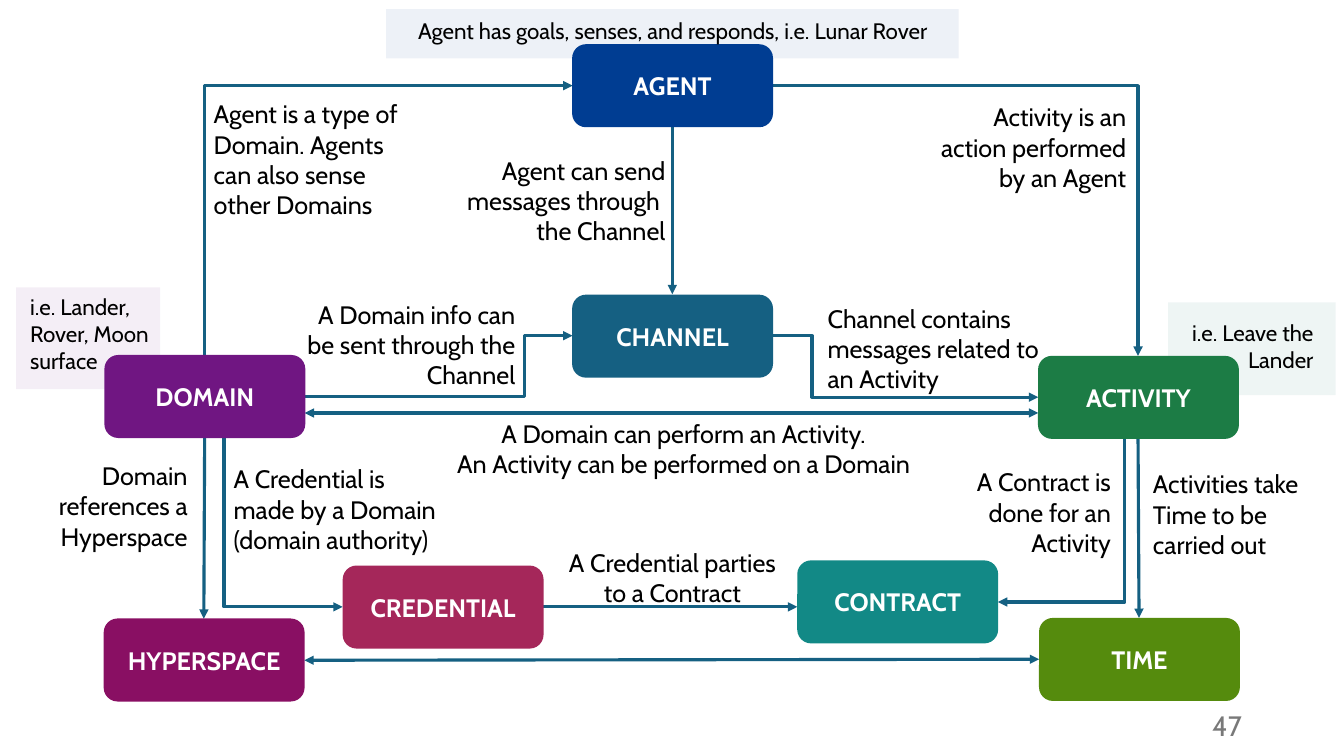
from lxml.etree import SubElement
from pptx import Presentation
from pptx.dml.color import RGBColor as Color
from pptx.enum.shapes import MSO_CONNECTOR as Connector, MSO_SHAPE as Shape
from pptx.enum.text import MSO_ANCHOR as Anchor, PP_ALIGN as Align
from pptx.oxml.ns import qn
from pptx.util import Pt

COLORS = {
    "agent": "003D92", "channel": "156082", "domain": "701682",
    "activity": "1C7C45", "time": "558B0D", "contract": "128986",
    "hyperspace": "890F63", "credential": "A5275A", "leave": "1B7D6A",
    "link": "156082", "text": "000000", "white": "FFFFFF", "number": "797979",
}
FONT = "Cabin"
LEFT, CENTER, RIGHT = Align.LEFT, Align.CENTER, Align.RIGHT
NODE_WIDTH, NODE_HEIGHT = 143.5, 59.3

deck = Presentation()
deck.slide_width, deck.slide_height = Pt(960), Pt(540)
page = deck.slides.add_slide(deck.slide_layouts[6])


def write(box, lines, size, color, align, bold=False):
    frame = box.text_frame
    frame.word_wrap = True
    frame.text = "\n".join(lines)
    for para in frame.paragraphs:
        para.alignment = align
        para.font.name = FONT
        para.font.size = Pt(size)
        para.font.bold = bold
        para.font.color.rgb = Color.from_string(COLORS[color])


def add_link(points, both_ends):
    (x1, y1), (x2, y2) = points[0], points[-1]
    corners = len(points) - 2
    upright = corners == 1 and points[1][0] == x1
    if upright:
        middle_x, middle_y = (x1 + x2) / 2, (y1 + y2) / 2
        half_x, half_y = (x2 - x1) / 2, (y2 - y1) / 2
        x1, x2 = middle_x - half_y, middle_x + half_y
        y1, y2 = middle_y + half_x, middle_y - half_x
    kind = Connector.ELBOW if corners else Connector.STRAIGHT
    link = page.shapes.add_connector(kind, Pt(x1), Pt(y1), Pt(x2), Pt(y2))
    link.line.color.rgb = Color.from_string(COLORS["link"])
    link.line.width = Pt(2.25)
    properties = link._element.spPr
    geometry = properties.find(qn("a:prstGeom"))
    if corners == 1:
        geometry.set("prst", "bentConnector2")
    if upright:
        properties.find(qn("a:xfrm")).set("rot", "5400000")
    if corners == 2:
        bend = round((points[1][0] - x1) / (x2 - x1) * 100000)
        guides = geometry.find(qn("a:avLst"))
        SubElement(guides, qn("a:gd"), name="adj1", fmla=f"val {bend}")
    outline = properties.find(qn("a:ln"))
    for end in ["headEnd", "tailEnd"] if both_ends else ["tailEnd"]:
        SubElement(outline, qn(f"a:{end}"), type="triangle")
    SubElement(properties, qn("a:effectLst"))


tints = [
    ("domain", 11.5, 205.2, 103, 72.7),
    ("leave", 834.5, 216, 119.5, 66.2),
    ("agent", 275.8, 6.5, 409, 35.3),
]
for color, left, top, width, height in tints:
    tint = page.shapes.add_shape(Shape.RECTANGLE, Pt(left), Pt(top), Pt(width), Pt(height))
    tint.shadow.inherit = False
    tint.fill.solid()
    tint.fill.fore_color.rgb = Color.from_string(COLORS[color])
    tint.line.fill.background()
    fill_color = tint._element.spPr.find(qn("a:solidFill"))[0]
    SubElement(fill_color, qn("a:alpha"), val="7000")

links = [
    ([(803.5, 306.7), (803.5, 430), (712.8, 430)], False),
    ([(160, 310.3), (160, 433.5), (244.8, 433.5)], False),
    ([(146.2, 253.4), (146.2, 61.2), (409, 61.2)], False),
    ([(551.5, 61.2), (812.9, 61.2), (812.9, 254.2)], False),
    ([(551.5, 239.8), (580, 239.8), (580, 283.7), (741.6, 283.7)], False),
    ([(217.6, 283), (375, 283), (375, 239.8), (409, 239.8)], False),
    ([(217.4, 471.6), (742.3, 470.9)], True),
    ([(146.2, 313), (145.6, 442)], False),
    ([(388, 433.5), (569.5, 433.5)], False),
    ([(217.6, 295), (741.6, 295)], True),
    ([(812.9, 313), (813.6, 441.4)], False),
    ([(480.2, 90.7), (480.2, 210.2)], False),
]
for points, both_ends in links:
    add_link(points, both_ends)

nodes = [
    ("agent", 408.7, 31.6), ("channel", 408.7, 210.5),
    ("domain", 74.6, 253.6), ("activity", 741.5, 254.2),
    ("credential", 244.8, 404), ("contract", 569.5, 400.3),
    ("hyperspace", 74.1, 441.8), ("time", 742.2, 441.4),
]
for name, left, top in nodes:
    node = page.shapes.add_shape(
        Shape.ROUNDED_RECTANGLE, Pt(left), Pt(top), Pt(NODE_WIDTH), Pt(NODE_HEIGHT))
    node.shadow.inherit = False
    node.fill.solid()
    node.fill.fore_color.rgb = Color.from_string(COLORS[name])
    node.line.fill.background()
    node.text_frame.vertical_anchor = Anchor.MIDDLE
    write(node, [name.upper()], 18, "white", CENTER, True)

notes = [
    (145.6, 67, 149.8, 94.5, 18, LEFT,
     ["Agent is a type of Domain. Agents can also sense other Domains"]),
    (255.6, 8.6, 450, 26.6, 16, CENTER,
     ["Agent has goals, senses, and responds, i.e. Lunar Rover"]),
    (659.5, 69.1, 152, 72.7, 18, RIGHT, ["Activity is an action performed by an Agent"]),
    (825.8, 224.6, 119.5, 46, 16, RIGHT, ["i.e. Leave the Lander"]),
    (319.7, 107.3, 162.7, 72.7, 18, RIGHT,
     ["Agent can send messages through ", "the Channel"]),
    (584, 213.1, 166.3, 72.7, 18, LEFT,
     ["Channel contains messages related to an Activity"]),
    (310.3, 295.2, 360, 51, 18, CENTER,
     ["A Domain can perform an Activity. ", "An Activity can be performed on a Domain "]),
    (14.4, 205.9, 121.7, 65.5, 16, LEFT, ["i.e. Lander, Rover, Moon surface"]),
    (212.4, 210.2, 162.7, 72.7, 18, RIGHT,
     ["A Domain info can be sent through the Channel"]),
    (816.5, 331.2, 145.4, 72.7, 18, LEFT, ["Activities take Time to be carried out"]),
    (655.2, 329.8, 145.4, 72.7, 18, RIGHT, ["A Contract is done for an Activity"]),
    (159.8, 327.6, 165.6, 72.7, 18, LEFT,
     ["A Credential is made by a Domain (domain authority)"]),
    (394.6, 387.4, 171.4, 51, 18, CENTER, ["A Credential parties to a Contract"]),
    (6.5, 325.4, 134.6, 72.7, 18, RIGHT, ["Domain references a Hyperspace"]),
]
for left, top, width, height, size, align, lines in notes:
    note = page.shapes.add_textbox(Pt(left), Pt(top), Pt(width), Pt(height))
    write(note, lines, size, "text", align)

number = page.shapes.add_textbox(Pt(678.2), Pt(504), Pt(216), Pt(28.8))
number.text_frame.vertical_anchor = Anchor.MIDDLE
write(number, ["47"], 20, "number", RIGHT)

deck.save("out.pptx")
